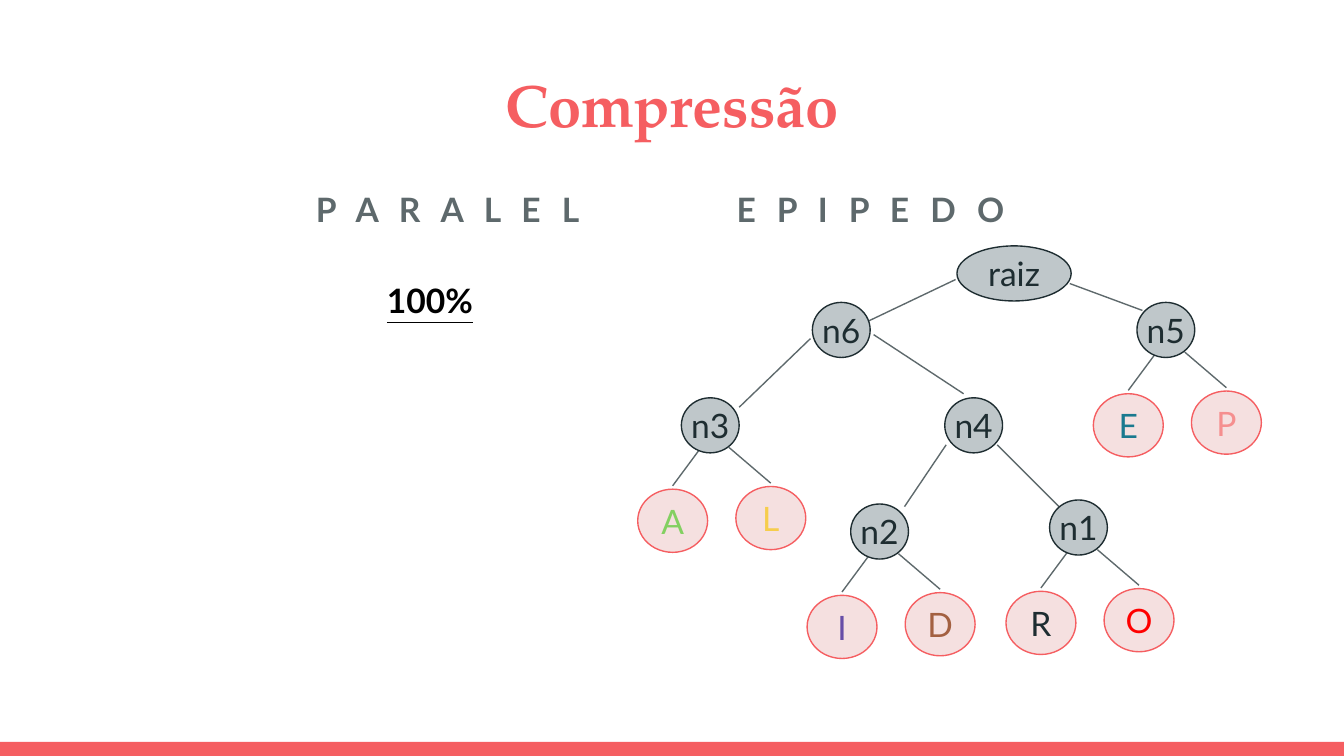
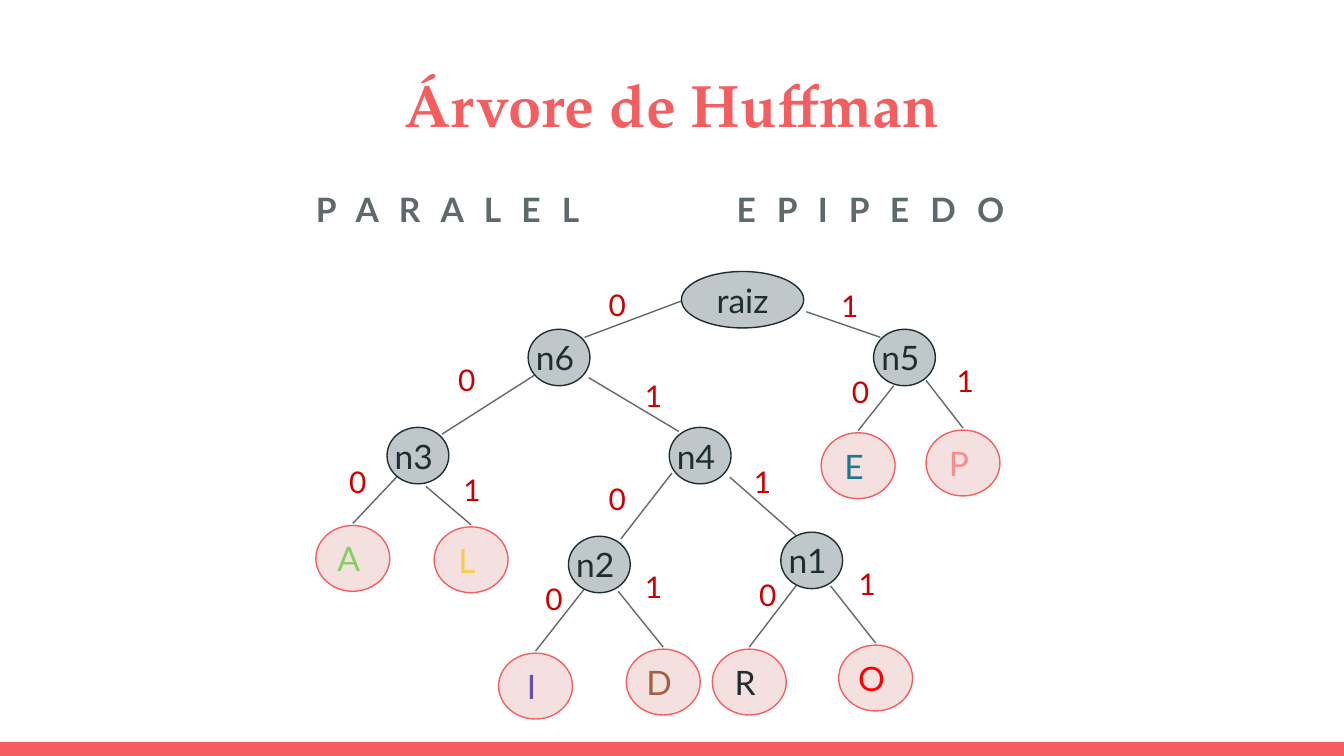
"""Builds two slides on Huffman compression of one word."""
from lxml.etree import SubElement
from pptx import Presentation
from pptx.dml.color import RGBColor
from pptx.enum.shapes import MSO_CONNECTOR, MSO_SHAPE
from pptx.enum.text import MSO_ANCHOR, PP_ALIGN
from pptx.oxml.ns import qn
from pptx.util import Inches, Pt

COLUMNS, ROWS = 100, 56.25
COLORS = {
    "coral": "F55E61", "blush": "F5E0E0", "silver": "BFC7CA", "ink": "1E2D31",
    "slate": "5E696C", "black": "000000", "bit": "CC0000",
}
LETTER_COLORS = {
    "A": "83D061", "L": "F6CD4C", "I": "674EA7", "D": "A36041",
    "R": "1E2D31", "O": "FF0000", "E": "1A798F", "P": "F58F8F",
}
BODY_FONT, TITLE_FONT = "Lato", "TeX Gyre Pagella"
LEFT_BRANCHES = {"n6", "n3", "n2", "A", "I", "R", "E"}
LEAF_PAIRS = {"n1": "RO", "n2": "ID", "n3": "AL", "n5": "EP"}


def cells(count):
    return Inches(count / 10)


class Deck:
    def __init__(self):
        self.prs = Presentation()
        self.prs.slide_width = cells(COLUMNS)
        self.prs.slide_height = cells(ROWS)
        self.slide = None

    def start(self, heading):
        self.slide = self.prs.slides.add_slide(self.prs.slide_layouts[6])
        band = self.shape(MSO_SHAPE.RECTANGLE, 0, 55.2, COLUMNS, ROWS - 55.2, "coral")
        band.line.fill.background()
        self.text(heading, 3.4, 4.3, 93.2, 6.8, 32, COLORS["coral"], font=TITLE_FONT,
                  bold=True, align=PP_ALIGN.CENTER, anchor=MSO_ANCHOR.MIDDLE)
        self.word("P A R A L E L", "E P I P E D O")

    def shape(self, preset, left, top, width, height, fill):
        figure = self.slide.shapes.add_shape(
            preset, cells(left), cells(top), cells(width), cells(height))
        figure.shadow.inherit = False
        figure.fill.solid()
        figure.fill.fore_color.rgb = RGBColor.from_string(COLORS[fill])
        return figure

    def run(self, paragraph, words, size, color, font=BODY_FONT, bold=False):
        run = paragraph.add_run()
        run.text = words
        run.font.name, run.font.size, run.font.bold = font, Pt(size), bold
        run.font.color.rgb = RGBColor.from_string(color)
        return run

    def text(self, words, left, top, width, height, size, color, font=BODY_FONT,
             bold=False, align=PP_ALIGN.LEFT, anchor=MSO_ANCHOR.TOP):
        frame = self.slide.shapes.add_textbox(
            cells(left), cells(top), cells(width), cells(height)).text_frame
        frame.word_wrap = True
        frame.vertical_anchor = anchor
        frame.margin_left = frame.margin_right = cells(1)
        frame.margin_top = frame.margin_bottom = cells(1)
        frame.paragraphs[0].alignment = align
        self.run(frame.paragraphs[0], words, size, color, font, bold)
        return frame

    def word(self, first, second):
        frame = self.text(f"{first}\t{second}", 3.4, 12.6, 93.2, 5.3, 18,
                          COLORS["slate"], bold=True)
        frame.margin_left = cells(20.1)
        line = frame.paragraphs[0]
        line.line_spacing = 1.15
        line.runs[0].font._element.set("spc", "350")
        stops = SubElement(line._p.get_or_add_pPr(), qn("a:tabLst"))
        SubElement(stops, qn("a:tab"), pos=str(cells(31.3)), algn="l")

    def share(self, words):
        line = self.text(words, 27.8, 19.4, 18.4, 7.8, 18, COLORS["black"],
                         bold=True).paragraphs[0]
        line.line_spacing = 1.15
        line.runs[0].font.underline = True

    def branch(self, x1, y1, x2, y2):
        edge = self.slide.shapes.add_connector(
            MSO_CONNECTOR.STRAIGHT, cells(x1), cells(y1), cells(x2), cells(y2))
        edge.line.color.rgb = RGBColor.from_string(COLORS["slate"])
        edge.line.width = Pt(0.75)
        SubElement(edge._element.spPr, qn("a:effectLst"))

    def node(self, name, x, y, size, nudge):
        leaf = name in LETTER_COLORS
        width, height = size
        oval = self.shape(MSO_SHAPE.OVAL, x - width / 2, y - height / 2, width, height,
                          "blush" if leaf else "silver")
        oval.line.color.rgb = RGBColor.from_string(COLORS["coral" if leaf else "ink"])
        oval.line.width = Pt(0.75)
        frame = oval.text_frame
        frame.word_wrap = False
        frame.vertical_anchor = MSO_ANCHOR.MIDDLE
        frame.margin_left = frame.margin_top = frame.margin_bottom = 0
        frame.margin_right = cells(nudge)
        frame.paragraphs[0].alignment = PP_ALIGN.CENTER
        self.run(frame.paragraphs[0], name, 18, LETTER_COLORS.get(name, COLORS["ink"]))

    def tree(self, root, nodes, sizes, nudge=0):
        for name, (x, y, *ends) in nodes.items():
            start, end = ends[:2], ends[2:] or (x, y - 2.6)
            self.branch(*start, *end)
        self.node("raiz", *root, sizes["root"], 0)
        for name, (x, y, *ends) in nodes.items():
            kind = "leaf" if name in LETTER_COLORS else "inner"
            self.node(name, x, y, sizes[kind], nudge)

    def bits(self, places):
        for name, (left, top) in places.items():
            self.text("0" if name in LEFT_BRANCHES else "1", left, top, 3.9, 4.2, 16,
                      COLORS["bit"])


deck = Deck()

deck.start("Compressão")
deck.share("100%")
compact = {
    "n6": (62.6, 24.55, 71.1, 20.8, 64.6, 23.9),
    "n5": (86.75, 24.55, 79.6, 21.1, 85, 23.1),
    "n3": (52.85, 31.65, 60.3, 25.2, 55, 30.3),
    "n4": (72.45, 31.65, 65, 24.9, 71.7, 29.3),
    "n2": (65.45, 39.55, 70.4, 33.1, 67.3, 37.7),
    "n1": (80.25, 39.25, 74.2, 33.1, 78.8, 37.7),
}
for parent, (zero, one) in LEAF_PAIRS.items():
    x, y = compact[parent][:2]
    compact[zero] = (x - 2.8, y + 7.1, x - 0.8, y + 1.8)
    compact[one] = (x + 4.5, y + 6.9, x + 1.4, y + 1.65)
deck.tree((75.45, 20.35), compact,
          {"root": (8.5, 4.1), "inner": (4.3, 4.1), "leaf": (5.2, 4.7)})

deck.start("Árvore de Huffman")
wide = {
    "n6": (41.6, 26.6, 50.7, 22.4, 43.5, 25.1),
    "n5": (67.3, 26.6, 60, 23.2, 65.5, 25.1),
    "n3": (31.1, 33.9, 39.8, 27.9, 32.9, 32.3),
    "n4": (52.1, 33.9, 43.8, 28.1, 50.5, 32.1),
    "n2": (44.6, 42, 50, 35.2, 46.2, 40.1),
    "n1": (60.4, 41.7, 54.3, 35.5, 59.3, 39.9),
    "A": (26.25, 41.55, 29.7, 35.3),
    "L": (35.05, 41.65, 31.7, 36.2),
    "I": (39.85, 51.05, 43.5, 43.8),
    "D": (49.35, 50.75, 46, 44),
    "R": (55.75, 50.75, 59.3, 43.5),
    "O": (65.15, 50.45, 61.8, 43.6),
    "E": (63.85, 34.65, 66.5, 28.7),
    "P": (71.65, 34.45, 68.9, 28.3),
}
deck.tree((55.25, 22.3), wide,
          {"root": (9.1, 4.2), "inner": (4.6, 4.2), "leaf": (5.5, 4.9)}, nudge=0.6)
deck.bits({
    "n6": (44.3, 20.3), "n5": (61.6, 20.4), "n3": (33.1, 25.9), "n4": (47, 27.1),
    "n2": (44.3, 34.8), "n1": (55.1, 33.5), "A": (25, 33.5), "L": (33.5, 34.1),
    "I": (39.6, 42.2), "D": (47, 41.3), "R": (55.5, 41.9), "O": (62.9, 41.1),
    "E": (62.4, 26.8), "P": (70.2, 26),
})

deck.prs.save("out.pptx")
